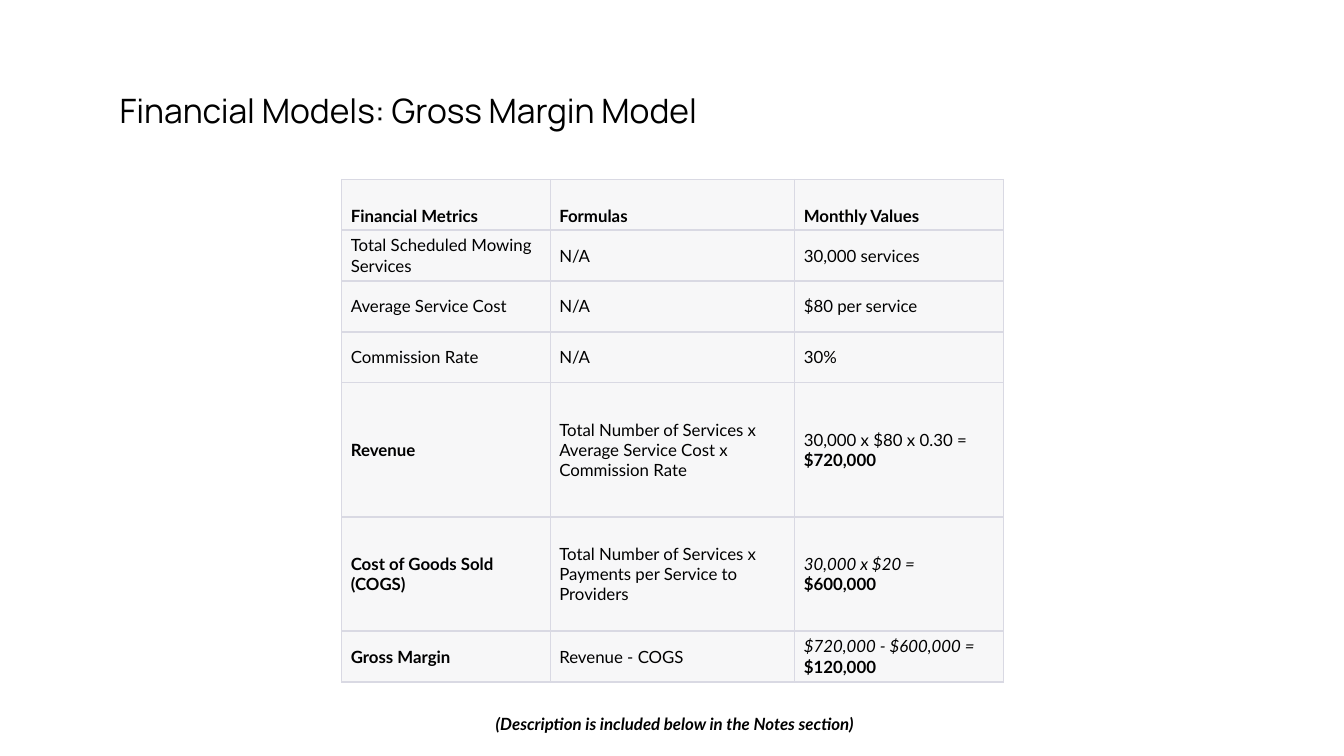
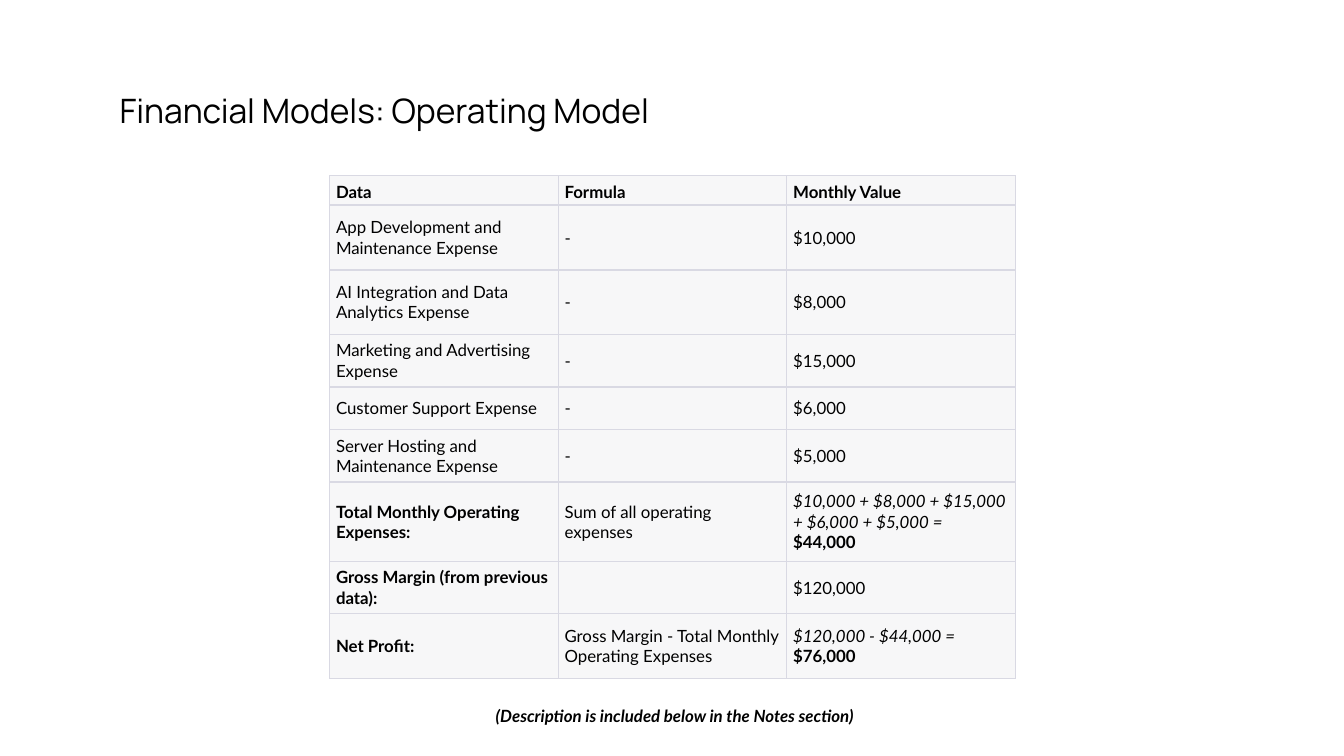
from lxml import etree
from pptx import Presentation
from pptx.dml.color import RGBColor
from pptx.enum.text import MSO_ANCHOR, MSO_AUTO_SIZE
from pptx.oxml.ns import qn
from pptx.util import Cm, Pt

TOP, MIDDLE, BOTTOM = MSO_ANCHOR.TOP, MSO_ANCHOR.MIDDLE, MSO_ANCHOR.BOTTOM
GROW = MSO_AUTO_SIZE.SHAPE_TO_FIT_TEXT

BLACK, PALE, BORDER = "000000", "F7F7F8", "D9D9E3"
THIN, THICK = 0.75, 1
TITLE = {"name": "Manrope", "size": Pt(18)}
BODY = {"name": "Lato", "size": Pt(9), "bold": False, "italic": False}
BOLD = {**BODY, "bold": True}
ITALIC = {**BODY, "italic": True}
NOTE = {**BOLD, "italic": True}


def color(value):
    return RGBColor.from_string(value)


def bold(text):
    return [(text, BOLD)]


def result(formula, value, style=ITALIC):
    """Calculation on one line, its bold outcome on the next."""
    return [(formula, style), (value, BOLD)]


class Deck:
    """Holds the presentation, its style and the slide being built."""

    def __init__(self):
        self.prs = Presentation()
        self.prs.slide_width, self.prs.slide_height = Cm(25.4), Cm(14.29)
        self.s = None

    def new_slide(self, title):
        self.s = self.prs.slides.add_slide(self.prs.slide_layouts[6])
        fill = self.s.background.fill
        fill.solid()
        fill.fore_color.rgb = color("FFFFFF")
        tf = self.text_box(2.01, 1.07, 20.22, 1.85, [(title, TITLE)])
        tf.margin_top = tf.margin_bottom = Cm(0.25)
        tf.paragraphs[0].line_spacing = 1.5

    def fill_text(self, tf, lines):
        """Put each (text, style) pair in a paragraph of its own."""
        for i, (text, style) in enumerate(lines):
            p = tf.add_paragraph() if i else tf.paragraphs[0]
            r = p.add_run()
            r.text = text
            for name, value in style.items():
                setattr(r.font, name, value)
            r.font.color.rgb = color(BLACK)

    def text_box(self, left, top, width, height, lines):
        sp = self.s.shapes.add_textbox(Cm(left), Cm(top), Cm(width), Cm(height))
        tf = sp.text_frame
        tf.word_wrap = True
        tf.vertical_anchor = TOP
        self.fill_text(tf, lines)
        return tf

    def note(self, top):
        text = "(Description is included below in the Notes section)"
        tf = self.text_box(7.42, top, 10.57, 0.64, [(text, NOTE)])
        tf.margin_left = Cm(1.95)
        tf.auto_size = GROW

    def borders(self, cell, first, last):
        widths = {"L": THIN, "R": THIN,
                  "T": THIN if first else THICK,
                  "B": THIN if last else THICK}
        tc_pr = cell._tc.get_or_add_tcPr()
        for side, width in widths.items():
            ln = etree.SubElement(tc_pr, qn(f"a:ln{side}"), w=str(Pt(width)))
            solid = etree.SubElement(ln, qn("a:solidFill"))
            etree.SubElement(solid, qn("a:srgbClr"), val=BORDER)

    def table(self, left, top, cols, heights, rows, pad_x, pad_y):
        """Draw rows of cells; a cell is plain text or styled lines."""
        frame = self.s.shapes.add_table(
            len(rows), len(cols), Cm(left), Cm(top), Cm(sum(cols)), Cm(sum(heights)))
        tbl = frame.table
        tbl.first_row = tbl.horz_banding = False
        for col, width in zip(tbl.columns, cols):
            col.width = Cm(width)
        for i, (row, height) in enumerate(zip(rows, heights)):
            tbl.rows[i].height = Cm(height)
            for cell, content in zip(tbl.rows[i].cells, row):
                self.borders(cell, i == 0, i == len(rows) - 1)
                cell.fill.solid()
                cell.fill.fore_color.rgb = color(PALE)
                cell.vertical_anchor = MIDDLE if i else BOTTOM
                cell.margin_left = cell.margin_right = Cm(pad_x)
                cell.margin_top = cell.margin_bottom = Cm(pad_y)
                if isinstance(content, str):
                    content = [(content, BODY if i else BOLD)]
                self.fill_text(cell.text_frame, content)


def gross_margin_slide(deck):
    deck.new_slide("Financial Models: Gross Margin Model")
    rows = [
        ("Financial Metrics", "Formulas", "Monthly Values"),
        ("Total Scheduled Mowing Services", "N/A", "30,000 services"),
        ("Average Service Cost", "N/A", "$80 per service"),
        ("Commission Rate", "N/A", "30%"),
        (bold("Revenue"),
         "Total Number of Services x Average Service Cost x Commission Rate",
         result("30,000 x $80 x 0.30 =", "$720,000", BODY)),
        (bold("Cost of Goods Sold (COGS)"),
         "Total Number of Services x Payments per Service to Providers",
         result("30,000 x $20 =", "$600,000")),
        (bold("Gross Margin"), "Revenue - COGS",
         result("$720,000 - $600,000 =", "$120,000")),
    ]
    heights = [0.96] * 4 + [2.54, 2.16, 0.96]
    deck.table(6.46, 3.39, [3.94, 4.62, 3.94], heights, rows, 0.17, 0.08)
    deck.note(13.36)


def operating_slide(deck):
    deck.new_slide("Financial Models: Operating Model")
    expenses = [
        ("App Development and Maintenance Expense", "$10,000"),
        ("AI Integration and Data Analytics Expense", "$8,000"),
        ("Marketing and Advertising Expense", "$15,000"),
        ("Customer Support Expense", "$6,000"),
        ("Server Hosting and Maintenance Expense", "$5,000"),
    ]
    rows = [
        ("Data", "Formula", "Monthly Value"),
        *((name, "-", value) for name, value in expenses),
        (bold("Total Monthly Operating Expenses:"), "Sum of all operating expenses",
         result(" + ".join(value for _, value in expenses) + " =", "$44,000")),
        (bold("Gross Margin (from previous data):"), [], "$120,000"),
        (bold("Net Profit:"), "Gross Margin - Total Monthly Operating Expenses",
         result("$120,000 - $44,000 =", "$76,000")),
    ]
    heights = [0.56, 1.22, 1.22, 0.99, 0.81, 0.99, 1.5, 0.99, 1.22]
    deck.table(6.23, 3.32, [4.32] * 3, heights, rows, 0.12, 0.06)
    deck.note(13.21)


def main():
    deck = Deck()
    gross_margin_slide(deck)
    operating_slide(deck)
    deck.prs.save("out.pptx")


if __name__ == "__main__":
    main()
